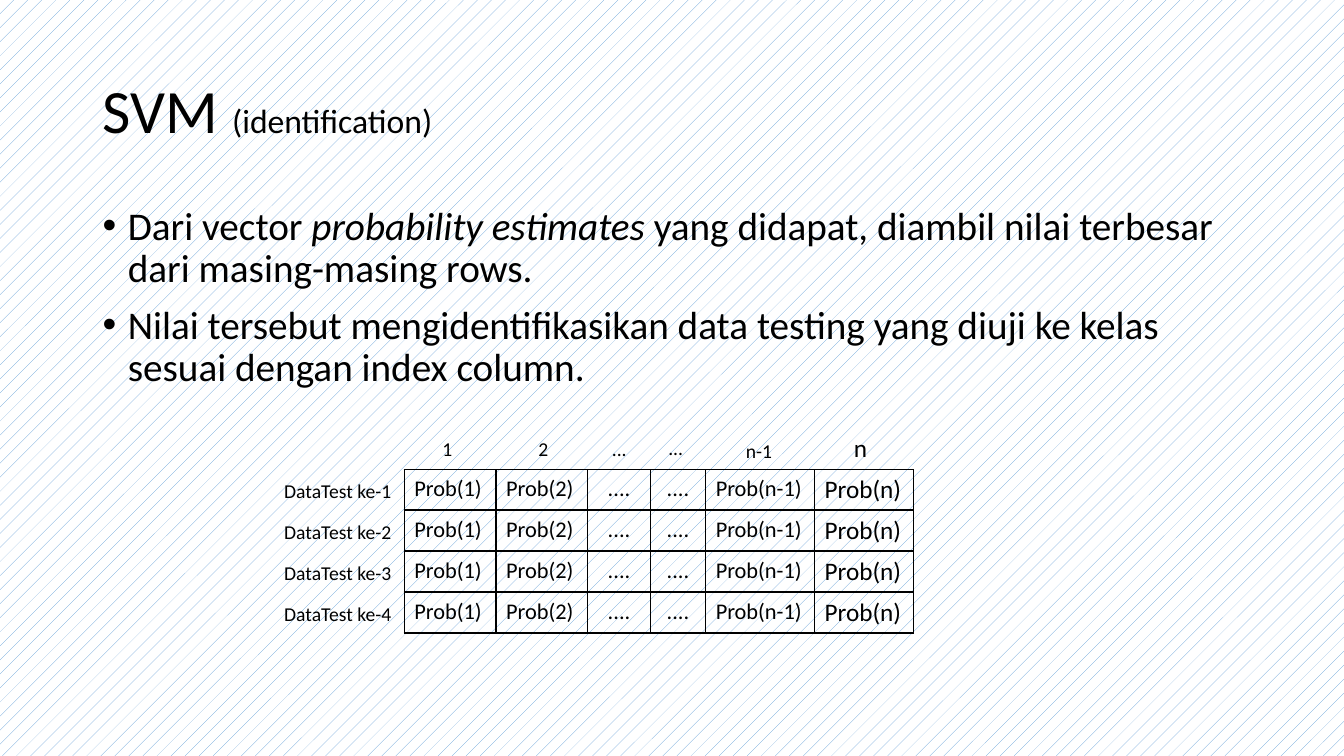
from lxml.etree import SubElement
from pptx import Presentation
from pptx.dml.color import RGBColor
from pptx.enum.dml import MSO_PATTERN
from pptx.enum.text import MSO_ANCHOR, PP_ALIGN
from pptx.oxml.ns import qn
from pptx.util import Inches, Pt

FONT = "Calibri"
BLACK = "000000"
TABLE_LEFT = 4.01
TABLE_TOP = 4.66
ROW_HEIGHT = 0.4
ROW_PITCH = 1.22 / 3
COLUMN_WIDTHS = [0.91, 0.91, 0.62, 0.55, 1.08, 0.98]
PROBABILITIES = ["Prob(1)", "Prob(2)", "....", "....", "Prob(n-1)", "Prob(n)"]
COLUMN_LABELS = [
    ("1", 4.29, 4.29, 0.42, 14),
    ("2", 5.24, 4.29, 0.42, 14),
    ("...", 5.97, 4.29, 0.42, 14),
    ("...", 6.53, 4.28, 0.42, 14),
    ("n-1", 7.3, 4.31, 0.57, 14),
    ("n", 8.37, 4.24, 0.42, 18),
]
BULLETS = [
    [
        ("Dari vector ", False),
        ("probability estimates", True),
        (" yang didapat, diambil nilai terbesar dari masing-masing rows.", False),
    ],
    [
        ("Nilai tersebut mengidentifikasikan data testing yang diuji "
         "ke kelas sesuai dengan index column.", False),
    ],
]


def color(value):
    return RGBColor.from_string(value)


def add_run(paragraph, text, size, italic=False):
    run = paragraph.add_run()
    run.text = text
    run.font.name = FONT
    run.font.size = Pt(size)
    run.font.italic = italic
    run.font.color.rgb = color(BLACK)


def add_frame(slide, left, top, width, height):
    box = slide.shapes.add_textbox(
        Inches(left), Inches(top), Inches(width), Inches(height))
    box.text_frame.word_wrap = True
    return box.text_frame


def add_title(slide):
    frame = add_frame(slide, 0.92, 0.4, 11.5, 1.45)
    frame.vertical_anchor = MSO_ANCHOR.MIDDLE
    heading = frame.paragraphs[0]
    heading.line_spacing = 0.9
    add_run(heading, "SVM ", 44)
    add_run(heading, "(identification)", 24)


def set_bullet(paragraph):
    properties = paragraph._p.get_or_add_pPr()
    properties.set("marL", str(Inches(0.25)))
    properties.set("indent", str(Inches(-0.25)))
    SubElement(properties, qn("a:buFont"), typeface="Arial")
    SubElement(properties, qn("a:buChar"), char="•")


def add_bullets(slide):
    frame = add_frame(slide, 0.92, 2, 11.5, 4.76)
    for index, parts in enumerate(BULLETS):
        bullet = frame.add_paragraph() if index else frame.paragraphs[0]
        set_bullet(bullet)
        bullet.line_spacing = 0.9
        if index:
            bullet.space_before = Pt(10)
        for text, italic in parts:
            add_run(bullet, text, 28, italic)


def set_borders(cell):
    properties = cell._tc.get_or_add_tcPr()
    for side in ("a:lnL", "a:lnR", "a:lnT", "a:lnB"):
        border = SubElement(properties, qn(side), w=str(Pt(1)))
        fill = SubElement(border, qn("a:solidFill"))
        SubElement(fill, qn("a:srgbClr"), val=BLACK)


def add_probability_row(slide, top):
    table = slide.shapes.add_table(
        1, len(COLUMN_WIDTHS), Inches(TABLE_LEFT), Inches(top),
        Inches(sum(COLUMN_WIDTHS)), Inches(ROW_HEIGHT)).table
    table.first_row = False
    table.horz_banding = False
    for index, (width, text) in enumerate(zip(COLUMN_WIDTHS, PROBABILITIES)):
        table.columns[index].width = Inches(width)
        cell = table.cell(0, index)
        set_borders(cell)
        cell.fill.background()
        paragraph = cell.text_frame.paragraphs[0]
        if text == "....":
            paragraph.alignment = PP_ALIGN.CENTER
        add_run(paragraph, text, 18 if text == "Prob(n)" else 16)


def add_label(slide, text, left, top, width, size):
    frame = add_frame(slide, left, top, width, 0.4 if size == 18 else 0.34)
    add_run(frame.paragraphs[0], text, size)


def main():
    presentation = Presentation()
    presentation.slide_width = Inches(13.33)
    presentation.slide_height = Inches(7.5)
    slide = presentation.slides.add_slide(presentation.slide_layouts[6])

    backdrop = slide.background.fill
    backdrop.patterned()
    backdrop.pattern = MSO_PATTERN.PERCENT_5
    backdrop.fore_color.rgb = color("5B9BD5")
    backdrop.back_color.rgb = color("FFFFFF")

    add_title(slide)
    add_bullets(slide)
    for row in range(4):
        top = TABLE_TOP + row * ROW_PITCH
        add_probability_row(slide, top)
        add_label(slide, f"DataTest ke-{row + 1}", 2.72, top + 0.04, 1.37, 14)
    for label in COLUMN_LABELS:
        add_label(slide, *label)

    presentation.save("out.pptx")


if __name__ == "__main__":
    main()
